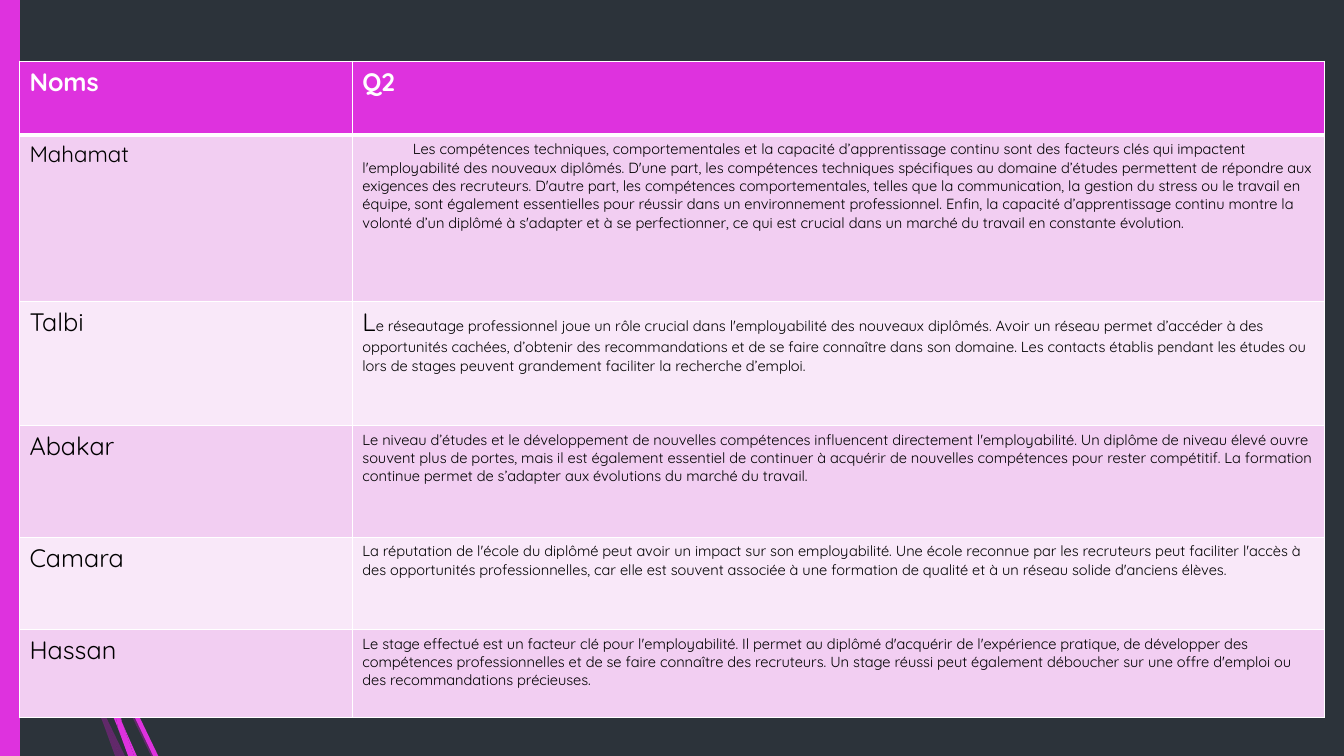
from dataclasses import dataclass
from typing import Optional

from lxml.etree import SubElement
from pptx import Presentation
from pptx.dml.color import RGBColor as RGB
from pptx.enum.shapes import MSO_SHAPE as Shape
from pptx.oxml.ns import qn
from pptx.util import Cm, Pt


@dataclass(frozen=True)
class Theme:
    font: str = "Quicksand"
    background: str = "2C333A"
    accent: str = "DE32DE"
    shade: str = "B01CB0"
    band_dark: str = "F2CEF2"
    band_light: str = "F9E8F9"
    white: str = "FFFFFF"
    black: str = "000000"
    title_pt: float = 18
    name_pt: float = 16
    body_pt: float = 10.5
    rule_pt: float = 1
    header_rule_pt: float = 3


@dataclass(frozen=True)
class Answer:
    name: str
    text: str
    height: float
    name_pt: float = Theme.title_pt
    indent: float = 0
    drop_cap: bool = False


@dataclass(frozen=True)
class Plume:
    color: str
    strands: list[list[tuple[float, float]]]
    opacity: Optional[int] = None


THEME = Theme()
WIDTH, HEIGHT = 33.87, 19.05
BAR_WIDTH = 0.5
TABLE_LEFT, TABLE_TOP = 0.49, 1.54
COLUMNS = [8.39, 24.5]
HEADERS = ["Noms", "Q2"]
HEADER_HEIGHT = 1.87

ANSWERS = [
    Answer("Mahamat", "Les compétences techniques, comportementales et la capacité d’apprentissage continu sont des "
           "facteurs clés qui impactent l'employabilité des nouveaux diplômés. D'une part, les compétences techniques "
           "spécifiques au domaine d’études permettent de répondre aux exigences des recruteurs. D'autre part, les "
           "compétences comportementales, telles que la communication, la gestion du stress ou le travail en équipe, "
           "sont également essentielles pour réussir dans un environnement professionnel. Enfin, la capacité "
           "d’apprentissage continu montre la volonté d’un diplômé à s'adapter et à se perfectionner, ce qui est "
           "crucial dans un marché du travail en constante évolution.",
           4.19, name_pt=THEME.name_pt, indent=1.27),
    Answer("Talbi", "Le réseautage professionnel joue un rôle crucial dans l'employabilité des nouveaux diplômés. "
           "Avoir un réseau permet d’accéder à des opportunités cachées, d’obtenir des recommandations et de se faire "
           "connaître dans son domaine. Les contacts établis pendant les études ou lors de stages peuvent grandement "
           "faciliter la recherche d’emploi.",
           3.12, drop_cap=True),
    Answer("Abakar", "Le niveau d’études et le développement de nouvelles compétences influencent directement "
           "l'employabilité. Un diplôme de niveau élevé ouvre souvent plus de portes, mais il est également essentiel "
           "de continuer à acquérir de nouvelles compétences pour rester compétitif. La formation continue permet de "
           "s’adapter aux évolutions du marché du travail.",
           2.82),
    Answer("Camara", "La réputation de l'école du diplômé peut avoir un impact sur son employabilité. Une école "
           "reconnue par les recruteurs peut faciliter l'accès à des opportunités professionnelles, car elle est "
           "souvent associée à une formation de qualité et à un réseau solide d'anciens élèves.",
           2.32),
    Answer("Hassan", "Le stage effectué est un facteur clé pour l'employabilité. Il permet au diplômé d'acquérir de "
           "l'expérience pratique, de développer des compétences professionnelles et de se faire connaître des "
           "recruteurs. Un stage réussi peut également déboucher sur une offre d'emploi ou des recommandations "
           "précieuses.",
           2.22),
]

PLUMES = [
    Plume(THEME.shade, [
        [(2.34, 15.42), (2.24, 15.14), (2.24, 15.49), (3.12, 17.63), (3.81, HEIGHT), (3.94, HEIGHT), (3.23, 17.58)],
        [(3.02, HEIGHT), (3.15, HEIGHT), (2.67, 18.06)],
        [(2.36, 17.35), (1.78, 15.72), (0.79, 11.91), (0.43, 9.55), (0.28, 8.89), (0.71, 11.94), (1.65, 15.77),
         (2.34, 17.6), (2.57, 18.14), (2.51, 17.96)],
        [(2.57, 18.14), (2.9, HEIGHT), (3.02, HEIGHT)],
        [(2.44, 17.58), (2.36, 17.35), (2.51, 17.96), (2.57, 18.14), (3.02, HEIGHT), (2.67, 18.06)],
    ], opacity=40),
    Plume(THEME.accent, [
        [(2.87, 16.48), (2.79, 16.28), (2.82, 16.66), (3.35, 17.98), (3.86, HEIGHT), (3.99, HEIGHT), (3.45, 17.93)],
        [(2.79, 17.55), (2.49, 16.69), (1.83, 14.12), (1.63, 12.83), (1.45, 12.12), (1.73, 14.15), (2.36, 16.74),
         (2.82, 17.98), (2.97, 18.34), (2.95, 18.21)],
        [(3.38, HEIGHT), (3.45, HEIGHT), (3.1, 18.26)],
        [(2.97, 18.34), (3.23, HEIGHT), (3.33, HEIGHT)],
        [(2.69, 16.38), (2.79, 17.55), (2.95, 17.93), (3.1, 18.26), (3.07, 18.19), (2.82, 16.66), (2.77, 16.54)],
        [(2.95, 17.93), (2.79, 17.55), (2.95, 18.21), (2.97, 18.34), (3.3, HEIGHT), (3.38, HEIGHT), (3.1, 18.26)],
    ]),
]


def paint(sp, color: str, opacity: Optional[int] = None) -> None:
    """Flat fill, no outline, no shadow."""
    sp.shadow.inherit = False
    sp.fill.solid()
    sp.fill.fore_color.rgb = RGB.from_string(color)
    sp.line.fill.background()
    if opacity is not None:
        clr = sp._element.spPr.find(qn("a:solidFill")).find(qn("a:srgbClr"))
        SubElement(clr, qn("a:alpha"), val=str(opacity * 1000))


def draw_plume(slide, plume: Plume) -> None:
    for strand in plume.strands:
        points = [(Cm(x), Cm(y)) for x, y in strand]
        builder = slide.shapes.build_freeform(*points[0])
        builder.add_line_segments(points[1:], close=True)
        paint(builder.convert_to_shape(), plume.color, plume.opacity)


def add_text(p, text: str, *, size: float, color: str = THEME.black, bold: bool = False) -> None:
    r = p.add_run()
    r.text = text
    r.font.name = THEME.font
    r.font.size = Pt(size)
    r.font.bold = bold
    r.font.color.rgb = RGB.from_string(color)


def style_cell(cell, fill: str, top: float = THEME.rule_pt, bottom: float = THEME.rule_pt) -> None:
    """White borders, then the fill that follows them in the cell properties."""
    tc_pr = cell._tc.get_or_add_tcPr()
    widths = {"lnL": THEME.rule_pt, "lnR": THEME.rule_pt, "lnT": top, "lnB": bottom}
    for side, width in widths.items():
        ln = SubElement(tc_pr, qn(f"a:{side}"), w=str(Pt(width)))
        SubElement(SubElement(ln, qn("a:solidFill")), qn("a:srgbClr"), val=THEME.white)
    cell.fill.solid()
    cell.fill.fore_color.rgb = RGB.from_string(fill)


def draw_table(slide) -> None:
    heights = [HEADER_HEIGHT] + [a.height for a in ANSWERS]
    table = slide.shapes.add_table(len(heights), len(COLUMNS), Cm(TABLE_LEFT), Cm(TABLE_TOP),
                                   Cm(sum(COLUMNS)), Cm(sum(heights))).table
    for column, width in zip(table.columns, COLUMNS):
        column.width = Cm(width)
    for row, height in zip(table.rows, heights):
        row.height = Cm(height)

    # Header row
    for cell, title in zip(table.rows[0].cells, HEADERS):
        style_cell(cell, THEME.accent, bottom=THEME.header_rule_pt)
        add_text(cell.text_frame.paragraphs[0], title, size=THEME.title_pt, color=THEME.white, bold=True)

    # One banded row per answer
    for i, answer in enumerate(ANSWERS):
        name_cell, text_cell = table.rows[i + 1].cells
        for cell in (name_cell, text_cell):
            style_cell(cell, THEME.band_light if i % 2 else THEME.band_dark,
                       top=THEME.rule_pt if i else THEME.header_rule_pt)
        add_text(name_cell.text_frame.paragraphs[0], answer.name, size=answer.name_pt)
        p, text = text_cell.text_frame.paragraphs[0], answer.text
        if answer.indent:
            p_pr = p._p.get_or_add_pPr()
            p_pr.set("marL", "0")
            p_pr.set("indent", str(Cm(answer.indent)))
        if answer.drop_cap:
            add_text(p, text[0], size=THEME.title_pt)
            text = text[1:]
        add_text(p, text, size=THEME.body_pt)


def main() -> None:
    prs = Presentation()
    prs.slide_width, prs.slide_height = Cm(WIDTH), Cm(HEIGHT)
    s = prs.slides.add_slide(prs.slide_layouts[6])
    s.background.fill.solid()
    s.background.fill.fore_color.rgb = RGB.from_string(THEME.background)

    # Strands at the foot and bar on the left edge
    for plume in PLUMES:
        draw_plume(s, plume)
    bar = s.shapes.add_shape(Shape.RECTANGLE, 0, 0, Cm(BAR_WIDTH), Cm(HEIGHT))
    paint(bar, THEME.accent)

    draw_table(s)
    prs.save("out.pptx")


if __name__ == "__main__":
    main()
